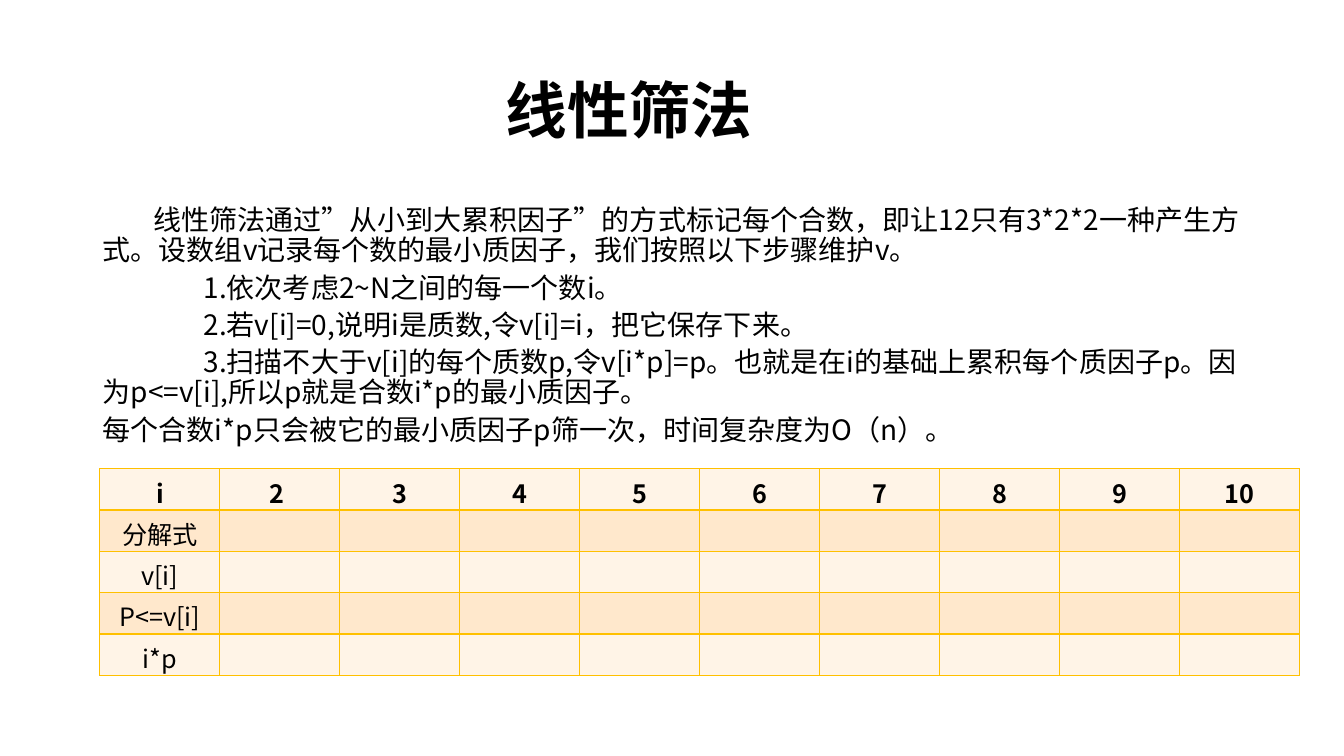
import pptx
import pptx.util
import pptx.dml.color
import pptx.enum.text
import pptx.oxml
import pptx.oxml.ns
import lxml.etree

Inches = pptx.util.Inches
Pt = pptx.util.Pt
qn = pptx.oxml.ns.qn
RGB = pptx.dml.color.RGBColor.from_string
PP_ALIGN = pptx.enum.text.PP_ALIGN
MSO_ANCHOR = pptx.enum.text.MSO_ANCHOR


class Deck:
    font = "Noto Sans CJK SC"
    colors = {"text": "000000", "border": "FFC000", "light": "FFF4E7", "dark": "FFE8CC"}

    def __init__(self):
        self.prs = pptx.Presentation()
        self.prs.slide_width = Inches(13.33)
        self.prs.slide_height = Inches(7.5)
        self.s = self.prs.slides.add_slide(self.prs.slide_layouts[6])

    def style(self, p, size, bold=False):
        p.font.size = Pt(size)
        p.font.bold = bold
        p.font.color.rgb = RGB(self.colors["text"])
        p.font.name = self.font
        props = p._p.get_or_add_pPr().find(qn("a:defRPr"))
        lxml.etree.SubElement(props, qn("a:ea"), typeface=self.font)

    def text(self, left, top, width, height, paragraphs, size, bold=False,
             margin=0, before=0, anchor=MSO_ANCHOR.TOP):
        sp = self.s.shapes.add_textbox(Inches(left), Inches(top), Inches(width), Inches(height))
        tf = sp.text_frame
        tf.word_wrap = True
        tf.vertical_anchor = anchor
        for i, (indent, content) in enumerate(paragraphs):
            p = tf.add_paragraph() if i else tf.paragraphs[0]
            p.text = content
            p.line_spacing = 0.9
            p.space_before = Pt(before)
            self.style(p, size, bold)
            pPr = p._p.get_or_add_pPr()
            pPr.set("marL", str(Inches(margin)))
            pPr.set("indent", str(Inches(indent)))

    def border(self, cell):
        tcPr = cell._tc.get_or_add_tcPr()
        for i, side in enumerate(("lnL", "lnR", "lnT", "lnB")):
            ln = lxml.etree.Element(qn("a:" + side), w=str(Pt(1)))
            fill = lxml.etree.SubElement(ln, qn("a:solidFill"))
            lxml.etree.SubElement(fill, qn("a:srgbClr"), val=self.colors["border"])
            tcPr.insert(i, ln)

    def table(self, left, top, col_width, row_height, rows, cols):
        frame = self.s.shapes.add_table(len(rows), cols, Inches(left), Inches(top),
                                        Inches(col_width * cols), Inches(row_height * len(rows)))
        table = frame.table
        for col in table.columns:
            col.width = Inches(col_width)
        for r, values in enumerate(rows):
            table.rows[r].height = Inches(row_height)
            for c in range(cols):
                cell = table.cell(r, c)
                cell.fill.solid()
                cell.fill.fore_color.rgb = RGB(self.colors["dark" if r % 2 else "light"])
                self.border(cell)
                p = cell.text_frame.paragraphs[0]
                p.alignment = PP_ALIGN.CENTER
                if c < len(values):
                    p.text = values[c]
                self.style(p, 18, bold=r == 0)


deck = Deck()
deck.text(0.92, 0.4, 11.5, 1.45, [(0, "线性筛法")], 44, bold=True, margin=4,
          anchor=MSO_ANCHOR.MIDDLE)
deck.text(0.92, 2, 11.65, 4.76, [
    (0.5, "线性筛法通过”从小到大累积因子”的方式标记每个合数，即让12只有3*2*2一种产生方式。"
          "设数组v记录每个数的最小质因子，我们按照以下步骤维护v。"),
    (1, "1.依次考虑2~N之间的每一个数i。"),
    (1, "2.若v[i]=0,说明i是质数,令v[i]=i，把它保存下来。"),
    (1, "3.扫描不大于v[i]的每个质数p,令v[i*p]=p。也就是在i的基础上累积每个质因子p。"
        "因为p<=v[i],所以p就是合数i*p的最小质因子。"),
    (0, "每个合数i*p只会被它的最小质因子p筛一次，时间复杂度为O（n）。"),
], 20, before=5)
header = ["i", "2 "] + [str(n) for n in range(3, 11)]
deck.table(0.99, 4.65, 1.19, 0.41,
           [header, ["分解式"], ["v[i]"], ["P<=v[i]"], ["i*p"]], len(header))
deck.prs.save("out.pptx")
